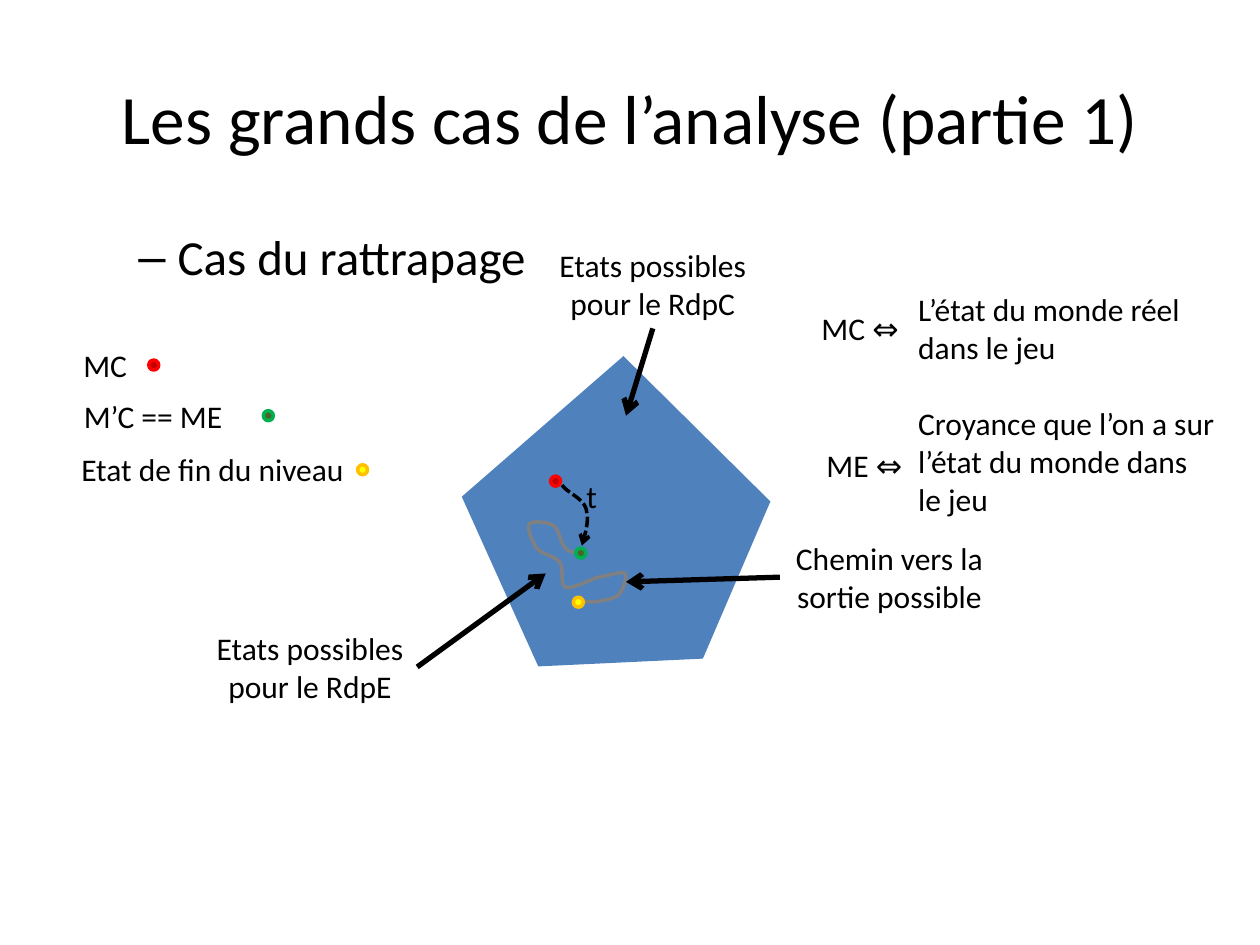
import pptx
import pptx.chart.data
import pptx.dml.color
import pptx.enum.chart
import pptx.enum.dml
import pptx.enum.shapes
import pptx.enum.text
import pptx.oxml
import pptx.oxml.ns
import pptx.util

Cm = pptx.util.Cm
Pt = pptx.util.Pt
ALIGN = pptx.enum.text.PP_ALIGN
ANCHOR = pptx.enum.text.MSO_ANCHOR
DASH = pptx.enum.dml.MSO_LINE

COLORS = {
    "text": "000000", "path": "808080",
    "RdpC": "4F81BD", "RdpE": "C0504D",
    "red": "C00000", "red ring": "FF0000",
    "green": "4F6228", "green ring": "00B050",
    "yellow": "FFFF00", "yellow ring": "FFC000",
}
FONT = "Calibri"
LINE_HEIGHT, BOX_PADDING = 0.77, 0.25
DOT_SIZE = 0.2
CURVE_STEPS = 8

TITLE = ("Les grands cas de l’analyse (partie 1)", (1.27, 0.76, 22.86, 3.18))
BODY = ("Cas du rattrapage", (1.27, 4.45, 22.86, 12.57))

CHART_BOX = (8.51, 6.73, 8.2, 8.69)
CATEGORIES = ["1", "2", "3", "4", "5"]
SERIES = [
    ("Series 1", (100, 80, 70, 75, 88), "RdpC"),
    ("Series 2", (30, 30, 30, 52, 70), "RdpE"),
]
PLOT_LAYOUT = {"x": 0.02, "y": 0.05, "w": 0.95, "h": 0.9}

LABELS = [
    ("t", 11.56, 9.5, 0.74, ALIGN.CENTER),
    ("MC", 1.42, 6.86, 1.4, ALIGN.CENTER),
    ("M’C == ME", 1.42, 7.87, 3.33, ALIGN.CENTER),
    ("Etat de fin du niveau", 1.35, 8.94, 5.87, ALIGN.CENTER),
    ("L’état du monde réel\ndans le jeu", 18.26, 5.72, 5.87, ALIGN.LEFT),
    ("MC ⇔", 16.31, 6.1, 2.24, ALIGN.LEFT),
    ("Croyance que l’on a sur\vl’état du monde dans\nle jeu", 18.26, 8.03, 6.55, ALIGN.LEFT),
    ("ME ⇔", 16.41, 8.86, 2.21, ALIGN.LEFT),
]
CALLOUTS = [
    ("Etats possibles\vpour le RdpC", 11, 4.83, 4.32, 2, (12.62, 8.38)),
    ("Etats possibles\vpour le RdpE", 4.09, 12.55, 4.32, 3, (11, 11.56)),
    ("Chemin vers la\vsortie possible", 15.72, 10.74, 4.42, 1, (12.62, 11.73)),
]
DOTS = [
    ("red", 11.1, 9.6), ("green", 11.61, 11.05), ("yellow", 11.56, 12.04),
    ("red", 3, 7.26), ("green", 5.31, 8.28), ("yellow", 7.21, 9.37),
]
TRANSITION = [
    (11.33, 9.78),
    (11.43, 9.93), (11.73, 10.03), (11.81, 10.24),
    (11.86, 10.44), (11.86, 10.57), (11.73, 11),
]
EXIT_PATH = [
    (11.61, 11.13),
    (11.53, 11.13), (11.46, 11.13), (11.38, 11.02),
    (11.3, 10.95), (11.28, 10.67), (11.15, 10.59),
    (11.02, 10.52), (10.72, 10.49), (10.67, 10.57),
    (10.62, 10.64), (10.72, 10.92), (10.82, 11.05),
    (10.92, 11.18), (11.18, 11.2), (11.28, 11.33),
    (11.38, 11.46), (11.28, 11.79), (11.4, 11.84),
    (11.53, 11.89), (11.89, 11.68), (12.09, 11.63),
    (12.27, 11.61), (12.52, 11.51), (12.6, 11.56),
    (12.65, 11.61), (12.57, 11.86), (12.5, 11.96),
    (12.42, 12.07), (12.22, 12.09), (12.09, 12.12),
    (11.96, 12.14), (11.89, 12.14), (11.79, 12.12),
]


def rgb(name):
    return pptx.dml.color.RGBColor.from_string(COLORS[name])


def set_values(target, values):
    for name, value in values.items():
        setattr(target, name, value)


def style_font(font, size):
    set_values(font, {"name": FONT, "size": Pt(size)})
    font.color.rgb = rgb("text")


def style_line(line, color, width):
    line.color.rgb = rgb(color)
    line.width = Pt(width)


def add_child(parent, tag, **attributes):
    child = pptx.oxml.parse_xml(f"<{tag} {pptx.oxml.ns.nsdecls(tag.split(':')[0])}/>")
    for name, value in attributes.items():
        child.set(name, str(value))
    parent.append(child)
    return child


def add_arrowhead(line):
    add_child(line._get_or_add_ln(), "a:tailEnd", type="arrow")


def add_text(slide, text, box, size=18, align=ALIGN.LEFT, anchor=ANCHOR.TOP, wrap=False):
    shape = slide.shapes.add_textbox(*map(Cm, box))
    frame = shape.text_frame
    set_values(frame, {"text": text, "word_wrap": wrap, "vertical_anchor": anchor})
    for paragraph in frame.paragraphs:
        paragraph.alignment = align
        for run in paragraph.runs:
            style_font(run.font, size)
    return shape


def add_label(slide, text, left, top, width, align):
    lines = 1 + text.count("\n") + text.count("\v")
    return add_text(slide, text, (left, top, width, BOX_PADDING + LINE_HEIGHT * lines), align=align)


def add_body(slide):
    text, box = BODY
    paragraph = add_text(slide, text, box, 28, wrap=True).text_frame.paragraphs[0]
    set_values(paragraph, {"level": 1, "space_before": Pt(5.6)})
    properties = paragraph._p.get_or_add_pPr()
    properties.set("marL", str(Cm(2.06)))
    properties.set("indent", str(-Cm(0.79)))
    add_child(properties, "a:buFont", typeface="Arial")
    add_child(properties, "a:buChar", char="–")


def add_radar(slide):
    data = pptx.chart.data.CategoryChartData()
    data.categories = CATEGORIES
    for name, values, color in SERIES:
        data.add_series(name, values)
    kind = pptx.enum.chart.XL_CHART_TYPE.RADAR_FILLED
    chart = slide.shapes.add_chart(kind, *map(Cm, CHART_BOX), data).chart
    set_values(chart, {"has_legend": False, "has_title": False})
    style_font(chart.font, 18)
    set_values(chart.category_axis, {"visible": False, "has_major_gridlines": True})
    set_values(chart.value_axis, {"visible": False, "has_major_gridlines": False,
                                  "minimum_scale": 0, "maximum_scale": 100})
    chart.plots[0].vary_by_categories = False
    for series, (name, values, color) in zip(chart.plots[0].series, SERIES):
        series.format.fill.solid()
        series.format.fill.fore_color.rgb = rgb(color)
        series.format.line.fill.background()
    plot_area = chart._chartSpace.chart.plotArea
    for layout in plot_area.findall(pptx.oxml.ns.qn("c:layout")):
        plot_area.remove(layout)
    layout = pptx.oxml.parse_xml(f"<c:layout {pptx.oxml.ns.nsdecls('c')}/>")
    plot_area.insert(0, layout)
    manual = add_child(layout, "c:manualLayout")
    add_child(manual, "c:layoutTarget", val="inner")
    for axis in "xy":
        add_child(manual, f"c:{axis}Mode", val="edge")
    for name, value in PLOT_LAYOUT.items():
        add_child(manual, f"c:{name}", val=value)


def curve_points(controls):
    points = [controls[0]]
    for first in range(0, len(controls) - 1, 3):
        for step in range(1, CURVE_STEPS + 1):
            t = step / CURVE_STEPS
            weights = ((1 - t) ** 3, 3 * t * (1 - t) ** 2, 3 * t * t * (1 - t), t ** 3)
            segment = controls[first:first + 4]
            points.append(tuple(sum(w * p[axis] for w, p in zip(weights, segment)) for axis in (0, 1)))
    return points


def add_curve(slide, controls, color):
    points = [(Cm(x), Cm(y)) for x, y in curve_points(controls)]
    builder = slide.shapes.build_freeform(*points[0])
    builder.add_line_segments(points[1:], close=False)
    shape = builder.convert_to_shape()
    shape.shadow.inherit = False
    shape.fill.background()
    style_line(shape.line, color, 2)
    return shape


def add_dot(slide, color, left, top):
    oval = pptx.enum.shapes.MSO_SHAPE.OVAL
    dot = slide.shapes.add_shape(oval, *map(Cm, (left, top, DOT_SIZE, DOT_SIZE)))
    dot.shadow.inherit = False
    dot.fill.solid()
    dot.fill.fore_color.rgb = rgb(color)
    style_line(dot.line, f"{color} ring", 2)


def add_callout(slide, text, left, top, width, side, target):
    label = add_label(slide, text, left, top, width, ALIGN.CENTER)
    straight = pptx.enum.shapes.MSO_CONNECTOR.STRAIGHT
    arrow = slide.shapes.add_connector(straight, Cm(left), Cm(top), *map(Cm, target))
    arrow.begin_connect(label, side)
    style_line(arrow.line, "text", 3)
    add_arrowhead(arrow.line)
    add_child(arrow._element.spPr, "a:effectLst")


def main():
    presentation = pptx.Presentation()
    set_values(presentation, {"slide_width": Cm(25.4), "slide_height": Cm(19.05)})
    slide = presentation.slides.add_slide(presentation.slide_layouts[6])
    add_text(slide, *TITLE, 39.6, ALIGN.CENTER, ANCHOR.MIDDLE, True)
    add_body(slide)
    add_radar(slide)
    transition = add_curve(slide, TRANSITION, "text")
    transition.line.dash_style = DASH.SQUARE_DOT
    add_arrowhead(transition.line)
    add_curve(slide, EXIT_PATH, "path")
    for dot in DOTS:
        add_dot(slide, *dot)
    for label in LABELS:
        add_label(slide, *label)
    for callout in CALLOUTS:
        add_callout(slide, *callout)
    presentation.save("out.pptx")


if __name__ == "__main__":
    main()
